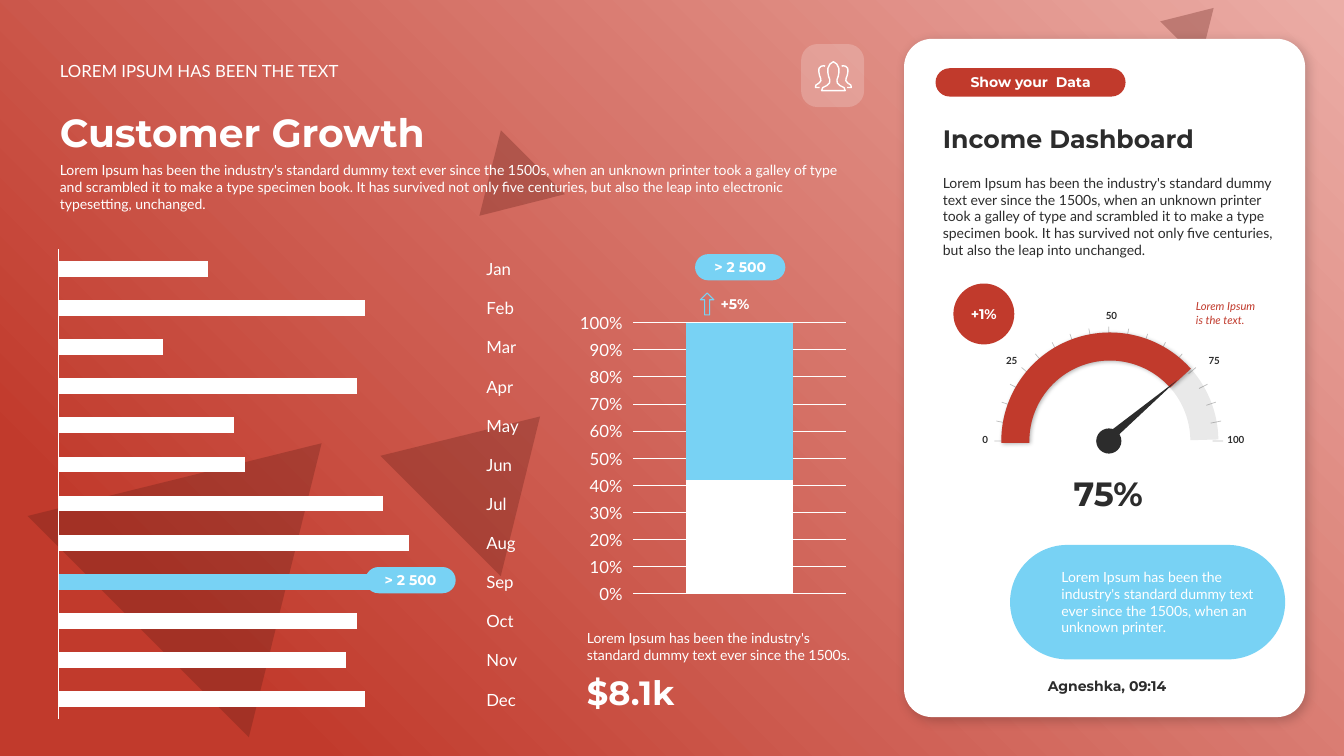
import math

import pptx
import pptx.chart.data
import pptx.dml.color
import pptx.enum.chart
import pptx.enum.shapes
import pptx.enum.text
import pptx.oxml
import pptx.oxml.ns
import pptx.util

PX = 9525
COLORS = {"white": "FFFFFF", "red": "C13A2C", "blush": "EBADA6", "maroon": "601D16", "sky": "78D2F4", "ink": "2C2C2C"}
SHAPE = pptx.enum.shapes.MSO_SHAPE
ALIGN = pptx.enum.text.PP_ALIGN
ANCHOR = pptx.enum.text.MSO_ANCHOR
CHART = pptx.enum.chart.XL_CHART_TYPE
qn = pptx.oxml.ns.qn
LOREM = "Lorem Ipsum has been the industry's standard dummy text ever since the 1500s"
STORY = (LOREM + ", when an unknown printer took a galley of type and scrambled it to make a type specimen book. "
         "It has survived not only five centuries, but also the leap into ")


def element(xml):
    return pptx.oxml.parse_xml(xml.replace(" ", f' {pptx.oxml.ns.nsdecls("a", "c")} ', 1))


class Dashboard:
    """Holds the slide style and draws elements on the current slide."""

    def __init__(self, page):
        self.page = page
        self.shapes = page.shapes

    def color(self, name):
        return pptx.dml.color.RGBColor.from_string(COLORS[name])

    def fill(self, target, name):
        target.fill.solid()
        target.fill.fore_color.rgb = self.color(name)

    def stroke(self, line, name, width):
        line.color.rgb = self.color(name)
        line.width = pptx.util.Pt(width)

    def background(self, inner, outer, position):
        fill = self.page.background.fill
        fill.gradient()
        for stop, name, place in zip(fill.gradient_stops, (inner, outer), (0, position)):
            stop.color.rgb = self.color(name)
            stop.position = place
        line = next(self.page.element.iter(qn("a:lin")))
        line.getparent().replace(line, element(
            '<a:path path="circle"><a:fillToRect l="100000" b="100000"/></a:path>'))

    def fade(self, shape, percent):
        for tint in shape._element.spPr.iter(qn("a:srgbClr")):
            tint.append(element(f'<a:alpha val="{percent * 1000}"/>'))

    def cast_shadow(self, shape, percent, blur, distance):
        shape._element.spPr.find(qn("a:effectLst")).append(element(
            f'<a:outerShdw blurRad="{blur * 12700}" dist="{distance * 12700}" dir="2700000">'
            f'<a:srgbClr val="000000"><a:alpha val="{percent * 1000}"/></a:srgbClr></a:outerShdw>'))

    def paint(self, shape, fill=None, line=None, width=1.0):
        shape.shadow.inherit = False
        shape.fill.background()
        shape.line.fill.background()
        if fill:
            self.fill(shape, fill)
        if line:
            self.stroke(shape.line, line, width)

    def shape(self, kind, area, fill=None, line=None, width=1.0, adjust=(), turn=0, alpha=None):
        shape = self.shapes.add_shape(kind, *(value * PX for value in area))
        for index, value in enumerate(adjust):
            shape.adjustments[index] = value
        shape.rotation = turn
        self.paint(shape, fill, line, width)
        if alpha:
            self.fade(shape, alpha)
        return shape

    def letter(self, box, words, size, color="white", font="Lato", bold=False, italic=False,
               align=ALIGN.LEFT, anchor=ANCHOR.BOTTOM, insets=(10, 5, 10, 5)):
        frame = box.text_frame
        frame.text = words
        frame.word_wrap = True
        frame.auto_size = pptx.enum.text.MSO_AUTO_SIZE.NONE
        frame.vertical_anchor = anchor
        frame.margin_left, frame.margin_top, frame.margin_right, frame.margin_bottom = (
            value * PX for value in insets)
        para = frame.paragraphs[0]
        para.alignment = align
        for span in para.runs:
            span.font.size, span.font.name = pptx.util.Pt(size), font
            span.font.bold, span.font.italic = bold, italic
            span.font.color.rgb = self.color(color)

    def text(self, area, words, size, **style):
        self.letter(self.shapes.add_textbox(*(value * PX for value in area)), words, size, **style)

    def heading(self, area, words, size, **style):
        self.text(area, words, size, font="Montserrat", bold=True, **style)

    def title(self, area, words, size):
        title = self.shapes.title
        title.left, title.top, title.width, title.height = (value * PX for value in area)
        self.letter(title, words, size, font="Montserrat", bold=True)

    def badge(self, kind, area, fill, words):
        badge = self.shape(kind, area, fill, adjust=(0.5,) if kind == SHAPE.ROUNDED_RECTANGLE else ())
        self.letter(badge, words, 10, font="Montserrat", bold=True, align=ALIGN.CENTER,
                    anchor=ANCHOR.MIDDLE, insets=(0, 0, 0, 0))

    def outline(self, left, top, points, closed):
        builder = self.shapes.build_freeform(*points[0], scale=PX / 10)
        builder.add_line_segments(points[1:], close=closed)
        self.paint(builder.convert_to_shape(left * PX, top * PX), line="white")

    def tick(self, start, end):
        ends = (value * PX for value in start + end)
        tick = self.shapes.add_connector(pptx.enum.shapes.MSO_CONNECTOR.STRAIGHT, *ends)
        self.stroke(tick.line, "ink", 0.5)
        self.fade(tick, 30)
        tick._element.spPr.append(element("<a:effectLst />"))

    def chart(self, kind, area, categories, series, fills, gap, overlap, plot_area):
        data = pptx.chart.data.CategoryChartData()
        data.categories = categories
        for name, values in series.items():
            data.add_series(name, values)
        chart = self.shapes.add_chart(kind, *(value * PX for value in area), data).chart
        chart.has_legend = chart.has_title = False
        chart.font.name, chart.font.size = "Lato", pptx.util.Pt(12)
        chart.font.color.rgb = self.color("white")
        plot = chart.plots[0]
        plot.vary_by_categories = False
        plot.gap_width, plot.overlap = gap, overlap
        for item, fill in zip(plot.series, fills):
            self.fill(item.format, fill)
        frame = chart._chartSpace.chart.plotArea
        for layout in frame.findall(qn("c:layout")):
            frame.remove(layout)
        places = "".join(f'<c:{key} val="{value}"/>' for key, value in zip("xywh", plot_area))
        frame.insert(0, element('<c:layout ><c:manualLayout><c:layoutTarget val="inner"/><c:xMode val="edge"/>'
                                f'<c:yMode val="edge"/>{places}</c:manualLayout></c:layout>'))
        return chart


def draw_header(board):
    board.background("blush", "red", 0.85)
    for area, turn in (((70, 386, 298, 247), 45), ((386, 377, 162, 134), 45),
                       ((439, 144, 86, 72), 225), ((1113, 1, 54, 45), 45)):
        board.shape(SHAPE.ISOSCELES_TRIANGLE, area, "maroon", turn=turn, alpha=30)
    card = board.shape(SHAPE.ROUNDED_RECTANGLE, (861, 37, 382, 646), "white", adjust=(0.07,))
    board.cast_shadow(card, 20, 8, 3)
    board.text((47, 53, 776, 29), "LOREM IPSUM HAS BEEN THE TEXT", 12)
    board.title((47, 98, 776, 55), "Customer Growth", 28)
    board.text((47, 149, 776, 59), STORY + "electronic typesetting, unchanged.", 10, anchor=ANCHOR.TOP)
    board.shape(SHAPE.ROUNDED_RECTANGLE, (763, 42, 60, 60), "white", adjust=(0.26,), alpha=20)
    front = [(65, 283), (75, 255), (115, 235), (140, 210), (143, 180), (132, 150),
             (124, 110), (125, 70), (145, 30), (177, 8)]
    side = [(45, 254), (6, 254), (10, 232), (40, 212), (58, 190), (55, 165), (45, 140),
            (38, 100), (40, 72), (60, 52), (86, 46), (98, 52)]
    mirrored_front, mirrored_side = ([(354 - x, y) for x, y in points] for points in (front, side))
    for points, closed in ((front + mirrored_front[-2::-1], True), (side, False), (mirrored_side, False)):
        board.outline(776, 58, points, closed)


def draw_charts(board):
    months = "Jan Feb Mar Apr May Jun Jul Aug Sep Oct Nov Dec".split()
    growth = (40, 82, 28, 80, 47, 50, 87, 94, 100, 80, 77, 82)
    bars = board.chart(CHART.BAR_CLUSTERED, (47, 228, 457, 466), months, {"Series 1": growth},
                       ["white"], 150, -25, (0.02, 0.02, 0.87, 0.96))
    board.fill(bars.plots[0].series[0].points[8].format, "sky")
    axis = bars.category_axis
    axis.reverse_order = True
    axis.major_tick_mark = pptx.enum.chart.XL_TICK_MARK.NONE
    axis.tick_label_position = pptx.enum.chart.XL_TICK_LABEL_POSITION.HIGH
    board.stroke(axis.format.line, "white", 0.75)
    bars.value_axis.minimum_scale, bars.value_axis.maximum_scale = 0, 112
    bars.value_axis.has_major_gridlines = bars.value_axis.visible = False
    share = board.chart(CHART.COLUMN_STACKED_100, (547, 293, 264, 287), ["1"], {"Series 1": [42], "Series 2": [58]},
                        ["white", "sky"], 100, 100, (0.21, 0.05, 0.77, 0.9))
    share.category_axis.visible = False
    axis = share.value_axis
    axis.minimum_scale, axis.maximum_scale, axis.major_unit = 0, 1, 0.1
    axis.tick_labels.number_format, axis.tick_labels.number_format_is_linked = "0%", False
    axis.format.line.fill.background()
    board.stroke(axis.major_gridlines.format.line, "white", 0.75)
    for left, top in ((662, 242), (348, 540)):
        board.badge(SHAPE.ROUNDED_RECTANGLE, (left, top, 86, 25), "sky", "> 2 500")
    board.shape(SHAPE.UP_ARROW, (667, 279, 13, 21), line="sky", width=0.75, adjust=(0.35, 0.5))
    board.heading((680, 276, 40, 26), "+5%", 10, align=ALIGN.CENTER, insets=(0, 5, 0, 5))
    board.text((549, 595, 279, 42), LOREM + ".", 10)
    board.heading((549, 635, 279, 48), "$8.1k", 24)


def draw_income(board):
    board.badge(SHAPE.ROUNDED_RECTANGLE, (891, 65, 181, 27), "red", "Show your  Data")
    board.heading((888, 113, 336, 38), "Income Dashboard", 18, color="ink")
    board.text((888, 161, 336, 90), STORY + "unchanged.", 10, color="ink", anchor=ANCHOR.TOP)
    dial = (967, 330, 180, 180)
    board.shape(SHAPE.ARC, dial, line="ink", width=20, adjust=(108.1, 215.58), alpha=10)
    for step in range(19):
        angle = math.radians(step * 10)
        board.tick(*((round(1056 + radius * math.cos(angle)), round(420 - radius * math.sin(angle)))
                     for radius in (109, 99)))
    for words, area, align in (("0", (918, 405, 33, 27), ALIGN.RIGHT), ("25", (940, 330, 39, 27), ALIGN.RIGHT),
                               ("50", (1035, 287, 39, 27), ALIGN.RIGHT), ("75", (1141, 330, 39, 27), ALIGN.LEFT),
                               ("100", (1159, 405, 57, 27), ALIGN.LEFT)):
        board.text(area, words, 7, color="ink", bold=True, align=align, anchor=ANCHOR.MIDDLE)
    level = board.shape(SHAPE.ARC, dial, line="red", width=20, adjust=(107.34, 191.03))
    board.cast_shadow(level, 30, 3, 1)
    board.shape(SHAPE.OVAL, (1044, 408, 24, 24), "ink")
    board.shape(SHAPE.ISOSCELES_TRIANGLE, (1087, 348, 8, 79), "ink", turn=49.8)
    board.badge(SHAPE.OVAL, (908, 270, 58, 58), "red", "+1%")
    board.text((1129, 280, 84, 36), "Lorem Ipsum is the text.", 8, color="red", italic=True, anchor=ANCHOR.MIDDLE)
    board.heading((941, 446, 229, 48), "75%", 24, color="ink", align=ALIGN.CENTER)
    bubble = board.shape(SHAPE.ROUNDED_RECTANGLE, (962, 519, 262, 109), "sky", adjust=(0.5,))
    board.letter(bubble, LOREM + ", when an unknown printer.", 10, anchor=ANCHOR.MIDDLE, insets=(33, 0, 12, 0))
    board.heading((988, 640, 219, 26), "Agneshka, 09:14", 10, color="ink")


def main():
    deck = pptx.Presentation()
    deck.slide_width, deck.slide_height = 1280 * PX, 720 * PX
    board = Dashboard(deck.slides.add_slide(deck.slide_layouts[5]))
    for draw in (draw_header, draw_charts, draw_income):
        draw(board)
    deck.save("out.pptx")


if __name__ == "__main__":
    main()
